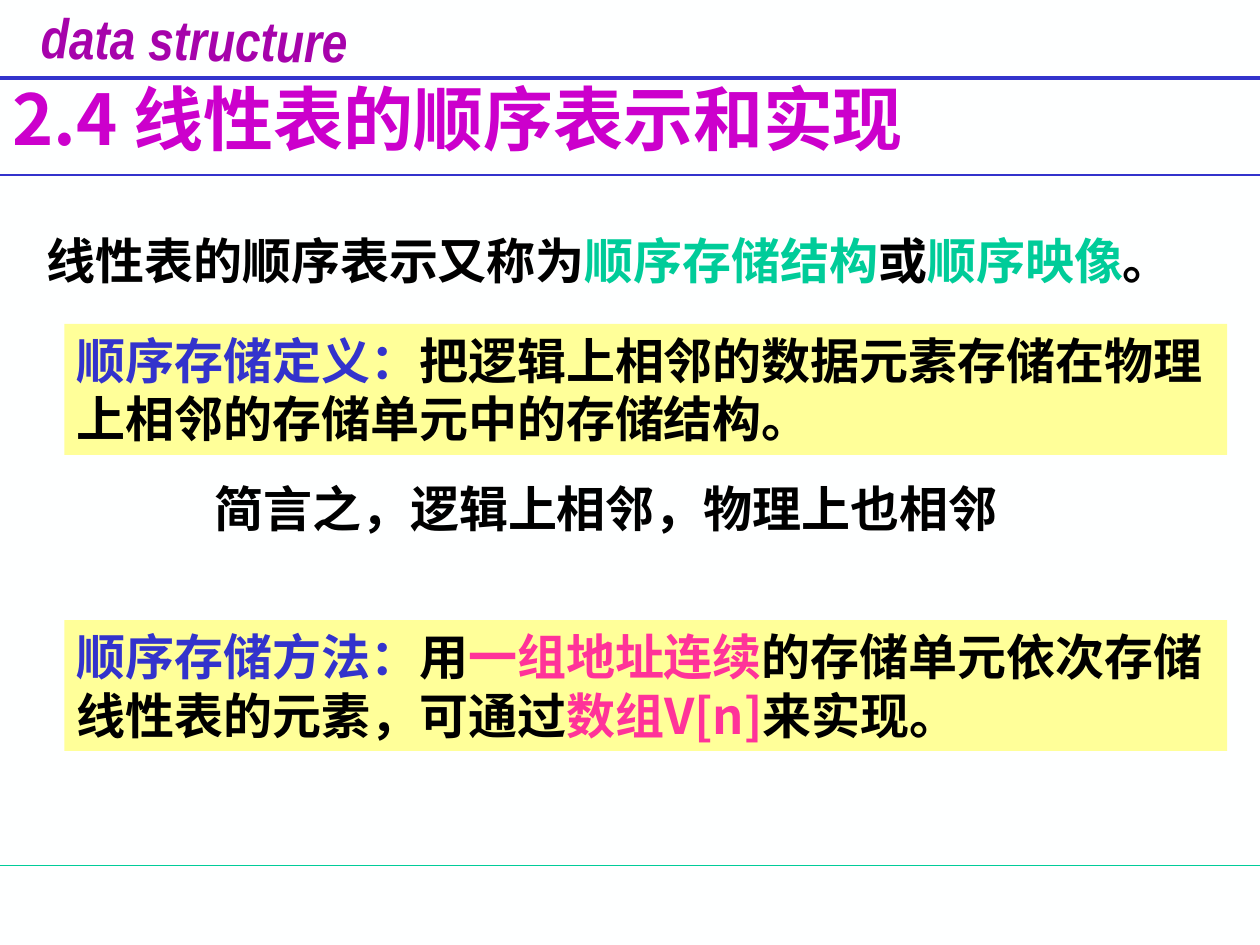
from lxml import etree
from pptx import Presentation
from pptx.dml.color import RGBColor
from pptx.enum.shapes import MSO_CONNECTOR, MSO_SHAPE
from pptx.enum.text import MSO_ANCHOR, MSO_AUTO_SIZE, PP_ALIGN
from pptx.oxml.ns import qn
from pptx.util import Cm, Pt

LEFT, CENTER = PP_ALIGN.LEFT, PP_ALIGN.CENTER
TOP, MIDDLE = MSO_ANCHOR.TOP, MSO_ANCHOR.MIDDLE
NO_AUTOSIZE = MSO_AUTO_SIZE.NONE
STRAIGHT, RECTANGLE = MSO_CONNECTOR.STRAIGHT, MSO_SHAPE.RECTANGLE

PAPER = RGBColor(0xFE, 0xFF, 0xFF)
BLACK = RGBColor(0x00, 0x00, 0x00)
BLUE = RGBColor(0x33, 0x33, 0xCC)
GREEN = RGBColor(0x00, 0xCC, 0x99)
PINK = RGBColor(0xFF, 0x33, 0x99)
PURPLE = RGBColor(0xA6, 0x03, 0xAB)
MAGENTA = RGBColor(0xCC, 0x00, 0xCC)
YELLOW = RGBColor(0xFF, 0xFF, 0x99)
CHINESE_FONT = "Noto Sans CJK SC"


def write_text(shape, spans, size=28, font=CHINESE_FONT, italic=False,
               align=LEFT, anchor=TOP, wrap=True):
    """Fill a shape with one bold paragraph of (text, colour) spans."""
    frame = shape.text_frame
    frame.auto_size = NO_AUTOSIZE
    frame.word_wrap = wrap
    frame.vertical_anchor = anchor
    para = frame.paragraphs[0]
    para.alignment = align
    for text, color in spans:
        span = para.add_run()
        span.text = text
        span.font.size = Pt(size)
        span.font.bold = True
        span.font.italic = italic
        span.font.color.rgb = color
        span.font.name = font
        east_asian = etree.SubElement(span.font._element, qn("a:ea"))
        east_asian.set("typeface", font)


deck = Presentation()
deck.slide_width, deck.slide_height = Cm(25.4), Cm(19.05)
page = deck.slides.add_slide(deck.slide_layouts[5])
page.background.fill.solid()
page.background.fill.fore_color.rgb = PAPER

# Full-width rules
for y, color, width in [(17.45, GREEN, 0.75), (1.57, BLUE, 2.25), (3.53, BLUE, 1)]:
    rule = page.shapes.add_connector(STRAIGHT, Cm(0), Cm(y), deck.slide_width, Cm(y))
    rule.line.color.rgb = color
    rule.line.width = Pt(width)
    etree.SubElement(rule._element.spPr, qn("a:effectLst"))

# Course name, slightly tilted
course = page.shapes.add_textbox(Cm(0.58), Cm(-0.03), Cm(5.82), Cm(1.37))
course.rotation = 0.8
write_text(course, [("data structure", PURPLE)], size=32, font="Arial Narrow",
           italic=True, wrap=False)

# Title
title = page.shapes.title
title.left, title.top, title.width, title.height = Cm(0), Cm(1.42), Cm(21.82), Cm(1.9)
write_text(title, [("2.4 线性表的顺序表示和实现", MAGENTA)], size=40, anchor=MIDDLE)

# Introduction and summary
intro = page.shapes.add_textbox(Cm(0.69), Cm(4.52), Cm(23.44), Cm(1.45))
write_text(intro, [("线性表的顺序表示又称为", BLACK), ("顺序存储结构", GREEN),
                   ("或", BLACK), ("顺序映像", GREEN), ("。", BLACK)])
summary = page.shapes.add_textbox(Cm(2.64), Cm(9.53), Cm(19.15), Cm(1.45))
write_text(summary, [("简言之，逻辑上相邻，物理上也相邻", BLACK)], align=CENTER)

# Highlighted definition and method
highlights = [
    (6.53, [("顺序存储定义：", BLUE),
            ("把逻辑上相邻的数据元素存储在物理上相邻的存储单元中的存储结构。", BLACK)]),
    (12.5, [("顺序存储方法：", BLUE), ("用", BLACK), ("一组地址连续", PINK),
            ("的存储单元依次存储线性表的元素，可通过", BLACK),
            ("数组V[n]", PINK), ("来实现。", BLACK)]),
]
for y, spans in highlights:
    box = page.shapes.add_shape(RECTANGLE, Cm(1.3), Cm(y), Cm(23.44), Cm(2.64))
    box.shadow.inherit = False
    box.fill.solid()
    box.fill.fore_color.rgb = YELLOW
    box.line.fill.background()
    write_text(box, spans)

deck.save("out.pptx")
